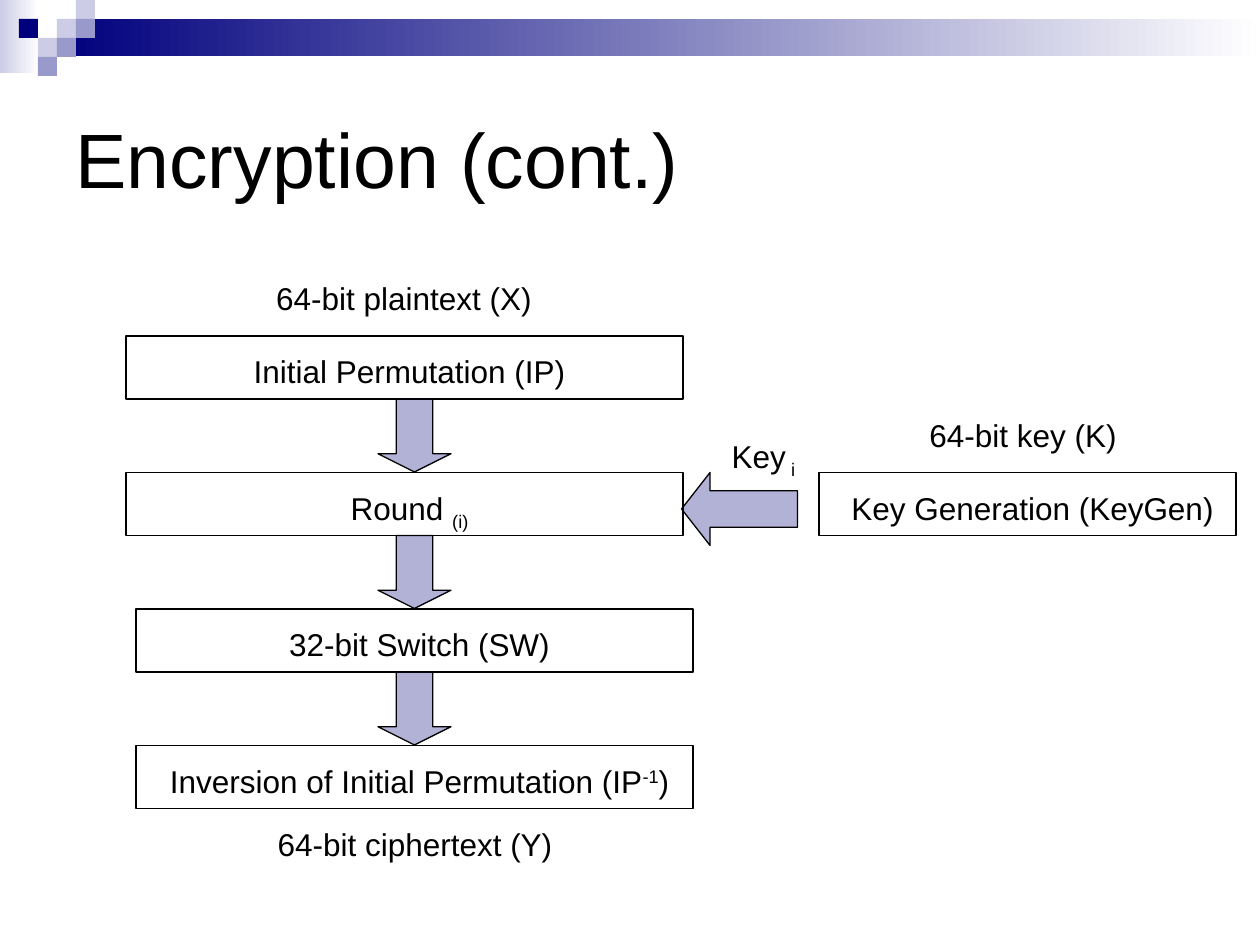
from dataclasses import dataclass

from lxml import etree
from pptx import Presentation
from pptx import util as u
from pptx.dml.color import RGBColor
from pptx.enum import shapes, text
from pptx.oxml import ns

EMU_PER_PX = 914400 / 126


def px(n):
    return u.Emu(round(n * EMU_PER_PX))


@dataclass(frozen=True)
class Theme:
    font: str = "Arial"
    ink: str = "000000"
    paper: str = "FFFFFF"
    navy: str = "00007D"
    mid: str = "9999CC"
    pale: str = "CCCCE6"
    title_size: int = 44
    body_size: int = 18
    line_width: float = 0.75
    arrow_opacity: int = 30


class SlideBuilder:
    def __init__(self, slide, theme):
        self.slide = slide
        self.theme = theme

    def shape(self, kind, x, y, w, h, fill=None, outline=False):
        sp = self.slide.shapes.add_shape(kind, px(x), px(y), px(w), px(h))
        sp.shadow.inherit = False
        if fill:
            sp.fill.solid()
            sp.fill.fore_color.rgb = RGBColor.from_string(fill)
        else:
            sp.fill.background()
        if outline:
            sp.line.color.rgb = RGBColor.from_string(self.theme.ink)
            sp.line.width = u.Pt(self.theme.line_width)
        else:
            sp.line.fill.background()
        return sp

    def rect(self, x, y, w, h, **style):
        return self.shape(shapes.MSO_SHAPE.RECTANGLE, x, y, w, h, **style)

    def fade(self, x, y, w, h, color):
        """Rectangle fading from a colour on the left to the paper colour."""
        sp = self.rect(x, y, w, h)
        sp.fill.gradient()
        sp.fill.gradient_angle = 0
        for stop, tone in zip(sp.fill.gradient_stops, (color, self.theme.paper)):
            stop.color.rgb = RGBColor.from_string(tone)

    def arrow(self, x, y, w, h, head=0.25, rotation=0):
        sp = self.shape(shapes.MSO_SHAPE.DOWN_ARROW, x, y, w, h,
                        fill=self.theme.navy, outline=True)
        sp.adjustments[0] = 0.5
        sp.adjustments[1] = head
        sp.rotation = rotation
        color = sp.fill._xPr.find(ns.qn("a:solidFill"))[0]
        alpha = etree.SubElement(color, ns.qn("a:alpha"))
        alpha.set("val", str(self.theme.arrow_opacity * 1000))

    def label(self, x, y, w, h, parts, size=None,
              align=text.PP_ALIGN.CENTER, anchor=text.MSO_ANCHOR.TOP):
        """Text box; parts are (wording, baseline shift in percent) pairs."""
        tf = self.slide.shapes.add_textbox(px(x), px(y), px(w), px(h)).text_frame
        tf.word_wrap = True
        tf.vertical_anchor = anchor
        p = tf.paragraphs[0]
        p.alignment = align
        for wording, shift in parts:
            r = p.add_run()
            r.text = wording
            r.font.name = self.theme.font
            r.font.size = u.Pt(size or self.theme.body_size)
            r.font.color.rgb = RGBColor.from_string(self.theme.ink)
            if shift:
                r.font._element.set("baseline", str(shift * 1000))

    def step(self, x, y, w, parts):
        """Outlined box with its label set slightly in from the corner."""
        self.rect(x, y, w, 63, outline=True)
        self.label(x + 10, y + 10, w - 10, 50, parts)


prs = Presentation()
prs.slide_width, prs.slide_height = px(1260), px(945)
theme = Theme()
s = SlideBuilder(prs.slides.add_slide(prs.slide_layouts[6]), theme)

# Header band and tiles
s.fade(0, 0, 39, 73, theme.pale)
s.fade(57, 19, 1203, 37, theme.navy)
TILE = 19
for col, row, color in [(3, 1, theme.pale), (4, 0, theme.pale), (4, 1, theme.mid),
                        (2, 2, theme.pale), (1, 1, theme.navy),
                        (3, 2, theme.mid), (2, 3, theme.mid)]:
    s.rect(col * TILE, row * TILE, TILE, TILE, fill=color)

# Title
s.label(63, 63, 1134, 189, [("Encryption (cont.)", 0)], size=theme.title_size,
        align=text.PP_ALIGN.LEFT, anchor=text.MSO_ANCHOR.MIDDLE)

# Encryption steps, with an arrow between each pair
TOP, PITCH = 336, 136.5
steps = [
    (126, [("Initial Permutation (IP)", 0)]),
    (126, [("Round ", 0), ("(i)", -25)]),
    (136, [("32-bit Switch (SW)", 0)]),
    (136, [("Inversion of Initial Permutation (IP", 0), ("-1", 30), (")", 0)]),
]
for i, (x, parts) in enumerate(steps):
    y = TOP + i * PITCH
    s.step(x, y, 557, parts)
    if i < len(steps) - 1:
        s.arrow(378, y + 63, 73, 73)

# Key generation feeding the round
s.step(819, TOP + PITCH, 417, [("Key Generation (KeyGen)", 0)])
s.arrow(703, 451, 73, 116, head=0.39, rotation=90)
s.label(703, 431, 126, 55, [("Key", 0), (" i ", -25)])

# Input and output captions
for x, y, caption in [(231, 273, "64-bit plaintext (X)"),
                      (242, 819, "64-bit ciphertext (Y)"),
                      (850, 410, "64-bit key (K)")]:
    s.label(x, y, 346, 50, [(caption, 0)])

prs.save("out.pptx")
